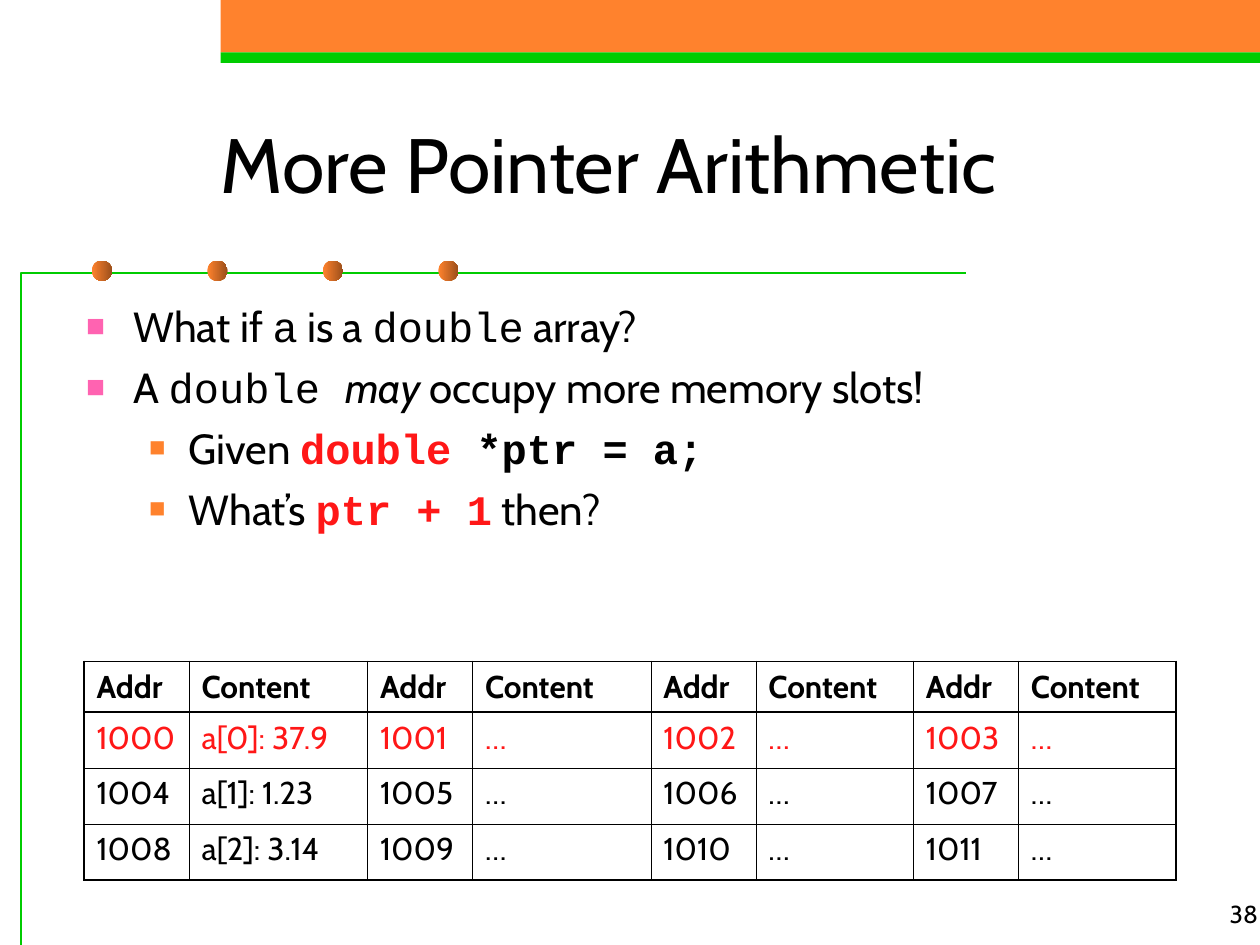
from lxml import etree
from pptx import Presentation
from pptx import util as u
from pptx.dml import color
from pptx.enum import shapes, text
from pptx.oxml import ns

Pt = u.Pt
rgb = color.RGBColor.from_string
GREEN, ORANGE, RED, PINK = "00CC00", "FF822D", "FF1717", "FF63B1"


def add_run(p, txt, size=24, font="Cabin", fg="000000", bold=False, italic=False):
    r = p.add_run()
    r.text = txt
    r.font.size, r.font.name = Pt(size), font
    r.font.bold, r.font.italic = bold, italic
    r.font.color.rgb = rgb(fg)


def add_xml(parent, tag, **attrs):
    el = etree.SubElement(parent, ns.qn(tag))
    for name, value in attrs.items():
        el.set(name, str(value))
    return el


prs = Presentation()
prs.slide_width, prs.slide_height = Pt(720), Pt(540)
s = prs.slides.add_slide(prs.slide_layouts[1])

for top, height, fg in [(0, 30, ORANGE), (30, 6, GREEN)]:
    band = s.shapes.add_shape(shapes.MSO_SHAPE.RECTANGLE, Pt(126), Pt(top), Pt(594), Pt(height))
    band.shadow.inherit = False
    band.fill.solid()
    band.fill.fore_color.rgb = rgb(fg)
    band.line.fill.background()

fb = s.shapes.build_freeform(12, 540, scale=Pt(1))
fb.add_line_segments([(12, 156), (552, 156)], close=False)
rule = fb.convert_to_shape()
rule.shadow.inherit = False
rule.fill.background()
rule.line.color.rgb = rgb(GREEN)
rule.line.width = Pt(0.75)

for i in range(4):
    dot = s.shapes.add_shape(shapes.MSO_SHAPE.OVAL, Pt(52.5 + 66 * i), Pt(149), Pt(11.5), Pt(11.5))
    dot.shadow.inherit = False
    dot.fill.gradient()
    dot.fill.gradient_angle = 0
    for stop, fg, pos in zip(dot.fill.gradient_stops, (ORANGE, "9B4F1B"), (0, 1)):
        stop.color.rgb = rgb(fg)
        stop.position = pos
    dot.line.fill.background()

num = s.shapes.add_textbox(Pt(576), Pt(498), Pt(150), Pt(36))
tf = num.text_frame
tf.word_wrap = True
tf.vertical_anchor = text.MSO_ANCHOR.BOTTOM
tf.paragraphs[0].alignment = text.PP_ALIGN.RIGHT
add_run(tf.paragraphs[0], "38", size=14)

title = s.shapes.title
title.left, title.top, title.width, title.height = Pt(42), Pt(48), Pt(612), Pt(90)
tf = title.text_frame
tf.auto_size = text.MSO_AUTO_SIZE.NONE
tf.vertical_anchor = text.MSO_ANCHOR.MIDDLE
tf.paragraphs[0].alignment = text.PP_ALIGN.CENTER
add_run(tf.paragraphs[0], "More Pointer Arithmetic", size=44)

code = {"font": "Courier New"}
bold_code = {"font": "Courier New", "bold": True}
red_code = {"font": "Courier New", "bold": True, "fg": RED}
bullets = [
    (0, [("What if ", {}), ("a", code), (" is a ", {}), ("double", code), (" array?", {})]),
    (0, [("A ", {}), ("double ", code), ("may", {"italic": True}),
         (" occupy more memory slots!", {})]),
    (1, [("Given ", {}), ("double", red_code), (" *ptr = a;", bold_code)]),
    (1, [("What’s ", {}), ("ptr + 1", red_code), (" then?", {})]),
]
levels = [(27, 27, PINK, 75), (58.5, 22.5, ORANGE, 65)]

body = s.placeholders[1]
body.left, body.top, body.width, body.height = Pt(42), Pt(168), Pt(660), Pt(324)
tf = body.text_frame
tf.auto_size = text.MSO_AUTO_SIZE.NONE
for i, (level, runs) in enumerate(bullets):
    margin, hang, fg, pct = levels[level]
    p = tf.add_paragraph() if i else tf.paragraphs[0]
    p.level = level
    p.space_before = Pt(6 if i else 0)
    pPr = p._p.get_or_add_pPr()
    pPr.set("marL", str(Pt(margin)))
    pPr.set("indent", str(-Pt(hang)))
    add_xml(add_xml(pPr, "a:buClr"), "a:srgbClr", val=fg)
    add_xml(pPr, "a:buSzPct", val=pct * 1000)
    add_xml(pPr, "a:buChar", char="■")
    for txt, fmt in runs:
        add_run(p, txt, **fmt)

rows = [["Addr", "Content"] * 4]
for i, value in enumerate(["37.9", "1.23", "3.14"]):
    row = []
    for j in range(4):
        row += [str(1000 + 4 * i + j), "…" if j else f"a[{i}]: {value}"]
    rows.append(row)
formats = [{"bold": True}, {"fg": RED}, {}, {}]
col_widths = [60, 102, 60, 102, 60, 90, 60, 90]
row_heights = [29, 32, 32, 32]

tbl = s.shapes.add_table(4, 8, Pt(48), Pt(378), Pt(624), Pt(125)).table
tbl.first_row = tbl.horz_banding = False
for col, width in zip(tbl.columns, col_widths):
    col.width = Pt(width)
for i, (row, height) in enumerate(zip(tbl.rows, row_heights)):
    row.height = Pt(height)
    for j, cell in enumerate(row.cells):
        add_run(cell.text_frame.paragraphs[0], rows[i][j], size=18, **formats[i])
        tcPr = cell._tc.get_or_add_tcPr()
        heavy = {"a:lnL": j == 0, "a:lnR": j == 7, "a:lnT": i < 2, "a:lnB": i in (0, 3)}
        for side, thick in heavy.items():
            ln = add_xml(tcPr, side, w=Pt(1.08 if thick else 0.45))
            add_xml(add_xml(ln, "a:solidFill"), "a:srgbClr", val="000000")
        cell.fill.background()

prs.save("out.pptx")
